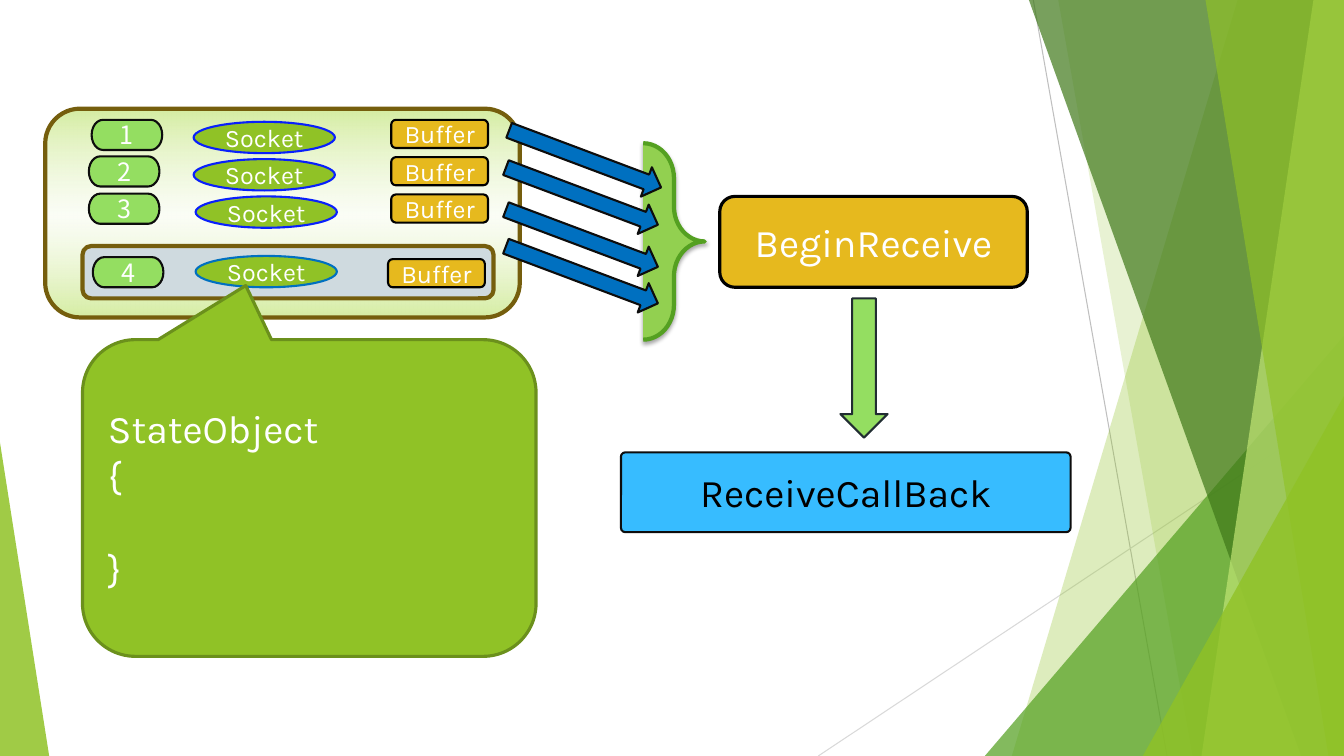
import copy

import pptx
import pptx.dml.color
import pptx.enum.shapes
import pptx.enum.text
import pptx.oxml
import pptx.oxml.ns
import pptx.util

Cm, Pt = pptx.util.Cm, pptx.util.Pt
KIND = pptx.enum.shapes.MSO_SHAPE
ALIGN = pptx.enum.text.PP_ALIGN
WIDTH, HEIGHT = 33.87, 19.05
TEXT_FONT, DIGIT_FONT = "Karla", "Noto Sans CJK SC"
DRAWING_NS = pptx.oxml.ns.nsdecls("a")

# Backdrop, back to front
HAIRLINES = [  # x1, y1, x2, y2, colour
    (26.04, 0, 29.41, HEIGHT, "BFBFBF"),
    (WIDTH, 10.24, 20.62, HEIGHT, "D9D9D9"),
]
FACETS = [
    # band: x of left edge at top and at bottom, colour, opacity
    ("band", (31.19, 25.5), "90C226", 30),
    ("band", (26.67, 30.05), "90C226", 20),
    # triangle: left, top, width, position of the tip, colour, opacity
    ("triangle", (24.82, 8.46, 9.05, 1), "54A021", 72),
    ("band", (25.93, 32.79), "3F7819", 70),
    ("band", (33.1, 30.28), "C0E474", 70),
    ("band", (30.38, 33.48), "90C226", 65),
    ("triangle", (28.8, 9.98, 5.07, 1), "90C226", 80),
    ("triangle", (0, 11.15, 1.24, 0), "90C226", 85),
]

# Diagram: left, top, width, height
PANEL = (1.14, 2.74, 11.96, 5.26)
TRAY = (2.08, 6.2, 10.36, 1.32)
BRACE = (16.21, 3.61, 1.55, 4.95)
BEGIN = (18.14, 4.95, 7.75, 2.29)
CALLBACK = (15.65, 11.4, 11.33, 2.01)
DOWN_ARROW = (21.18, 7.52, 1.19, 3.51)
CALLOUT = (2.08, 8.56, 11.43, 7.98)
STATE_LINES = ["StateObject", "{", "}"]

NUMBER_SIZE, SOCKET_SIZE = (1.78, 0.76), (3.56, 0.79)
BUFFER_SIZE, ARROW_SIZE = (2.44, 0.71), (4.09, 0.79)
CONNECTIONS = [  # number, places of number, socket, buffer and arrow, socket outline
    ("1", (2.31, 3.02), (4.88, 3.07), (9.86, 3.02), (12.7, 3.61), "0920FB"),
    ("2", (2.24, 3.94), (4.88, 4.01), (9.86, 3.96), (12.62, 4.55), "0920FB"),
    ("3", (2.24, 4.88), (4.93, 4.95), (9.86, 4.9), (12.62, 5.61), "0920FB"),
    ("4", (2.34, 6.48), (4.93, 6.45), (9.78, 6.53), (12.62, 6.53), "0070C0"),
]


def color(hex_string):
    return pptx.dml.color.RGBColor.from_string(hex_string)


def set_alpha(parent, percent):
    """Make every colour below the XML element partly transparent."""
    for tone in parent.iter(pptx.oxml.ns.qn("a:srgbClr")):
        tone.append(pptx.oxml.parse_xml(f'<a:alpha {DRAWING_NS} val="{percent * 1000}"/>'))


def paint(shape, fill, outline=None, weight=1.5):
    shape.shadow.inherit = False
    shape.fill.solid()
    shape.fill.fore_color.rgb = color(fill)
    if outline:
        shape.line.color.rgb = color(outline)
        shape.line.width = Pt(weight)
    else:
        shape.line.fill.background()


def add_shape(kind, box, fill, outline=None, weight=1.5, adjust=()):
    shape = slide.shapes.add_shape(kind, *map(Cm, box))
    for index, value in enumerate(adjust):
        shape.adjustments[index] = value
    paint(shape, fill, outline, weight)
    return shape


def write(shape, lines, size, font=TEXT_FONT, ink="FFFFFF", align=ALIGN.CENTER):
    frame = shape.text_frame
    frame.text = "\n".join(lines)
    frame.word_wrap = True
    frame.vertical_anchor = pptx.enum.text.MSO_ANCHOR.MIDDLE
    if align == ALIGN.CENTER:
        frame.margin_left = frame.margin_right = 0
    for paragraph in frame.paragraphs:
        paragraph.alignment = align
        for run in paragraph.runs:
            run.font.name, run.font.size = font, Pt(size)
            run.font.color.rgb = color(ink)


def draw_backdrop():
    for x1, y1, x2, y2, tone in HAIRLINES:
        hairline = slide.shapes.add_connector(
            pptx.enum.shapes.MSO_CONNECTOR.STRAIGHT, *map(Cm, (x1, y1, x2, y2)))
        hairline.line.color.rgb = color(tone)
        hairline.line.width = Pt(0.75)
        hairline._element.spPr.append(pptx.oxml.parse_xml(f"<a:effectLst {DRAWING_NS}/>"))
    for form, place, tone, opacity in FACETS:
        if form == "band":
            top_x, bottom_x = place
            outline = slide.shapes.build_freeform(Cm(top_x), Cm(0))
            corners = [(WIDTH, 0), (WIDTH, HEIGHT), (bottom_x, HEIGHT)]
            outline.add_line_segments([(Cm(x), Cm(y)) for x, y in corners], close=True)
            facet = outline.convert_to_shape()
            paint(facet, tone)
        else:
            left, top, width, tip = place
            facet = add_shape(KIND.ISOSCELES_TRIANGLE,
                              (left, top, width, HEIGHT - top), tone, adjust=[tip])
        set_alpha(facet._element.spPr, opacity)


def draw_panel():
    panel = add_shape(KIND.ROUNDED_RECTANGLE, PANEL, "D5EDA2", "755E0D", 3)
    panel.fill.gradient()
    panel.fill.gradient_angle = 90
    first, last = panel.fill.gradient_stops
    first.position, last.position = 0, 1
    first.color.rgb = color("EAF6D1")
    stops = panel._element.spPr.find(".//" + pptx.oxml.ns.qn("a:gsLst"))
    middle = copy.deepcopy(stops[0])
    middle.set("pos", "49000")
    set_alpha(middle, 19)
    first.color.rgb = last.color.rgb = color("D5EDA2")
    stops.insert(1, middle)
    add_shape(KIND.ROUNDED_RECTANGLE, TRAY, "CFDADF", "755E0D", 3)


def draw_brace():
    brace = add_shape(KIND.RIGHT_BRACE, BRACE, "92D050", "54A021", 3, [0.567, 0.5])
    effects = brace._element.spPr.find(pptx.oxml.ns.qn("a:effectLst"))
    effects.append(pptx.oxml.parse_xml(
        f'<a:outerShdw {DRAWING_NS} blurRad="{Pt(3)}" dist="{Pt(2)}" dir="5400000" '
        'rotWithShape="0"><a:srgbClr val="000000"/></a:outerShdw>'))
    set_alpha(effects, 35)


def draw_connections():
    for number, number_at, socket_at, buffer_at, arrow_at, socket_outline in CONNECTIONS:
        badge = add_shape(KIND.FLOWCHART_TERMINATOR, number_at + NUMBER_SIZE,
                          "94DE61", "0D0D0D")
        write(badge, [number], 18, DIGIT_FONT)
        socket = add_shape(KIND.OVAL, socket_at + SOCKET_SIZE, "90C226", socket_outline)
        write(socket, ["Socket"], 18)
        buffer = add_shape(KIND.ROUNDED_RECTANGLE, buffer_at + BUFFER_SIZE,
                           "E6B91E", "000000")
        write(buffer, ["Buffer"], 18)
        arrow = add_shape(KIND.RIGHT_ARROW, arrow_at + ARROW_SIZE, "0070C0", "0D0D0D")
        arrow.rotation = 20.6


def draw_calls():
    begin = add_shape(KIND.ROUNDED_RECTANGLE, BEGIN, "E6B91E", "000000", 2.25)
    write(begin, ["BeginReceive"], 28)
    callback = add_shape(KIND.ROUNDED_RECTANGLE, CALLBACK, "37BCFF", "0D0D0D", adjust=[0.053])
    write(callback, ["ReceiveCallBack"], 28, ink="000000")
    add_shape(KIND.DOWN_ARROW, DOWN_ARROW, "94DE61", "212D32")


def draw_state_object():
    state = add_shape(KIND.ROUNDED_RECTANGULAR_CALLOUT, CALLOUT, "90C226", "6B901C",
                      2.25, [-0.14, -0.671, 0.167])
    write(state, STATE_LINES, 28, align=ALIGN.LEFT)
    state.text_frame.paragraphs[-1].space_before = Pt(33)


deck = pptx.Presentation()
deck.slide_width, deck.slide_height = Cm(WIDTH), Cm(HEIGHT)
slide = deck.slides.add_slide(deck.slide_layouts[6])
draw_backdrop()
draw_panel()
draw_brace()
draw_connections()
draw_calls()
draw_state_object()
deck.save("out.pptx")
